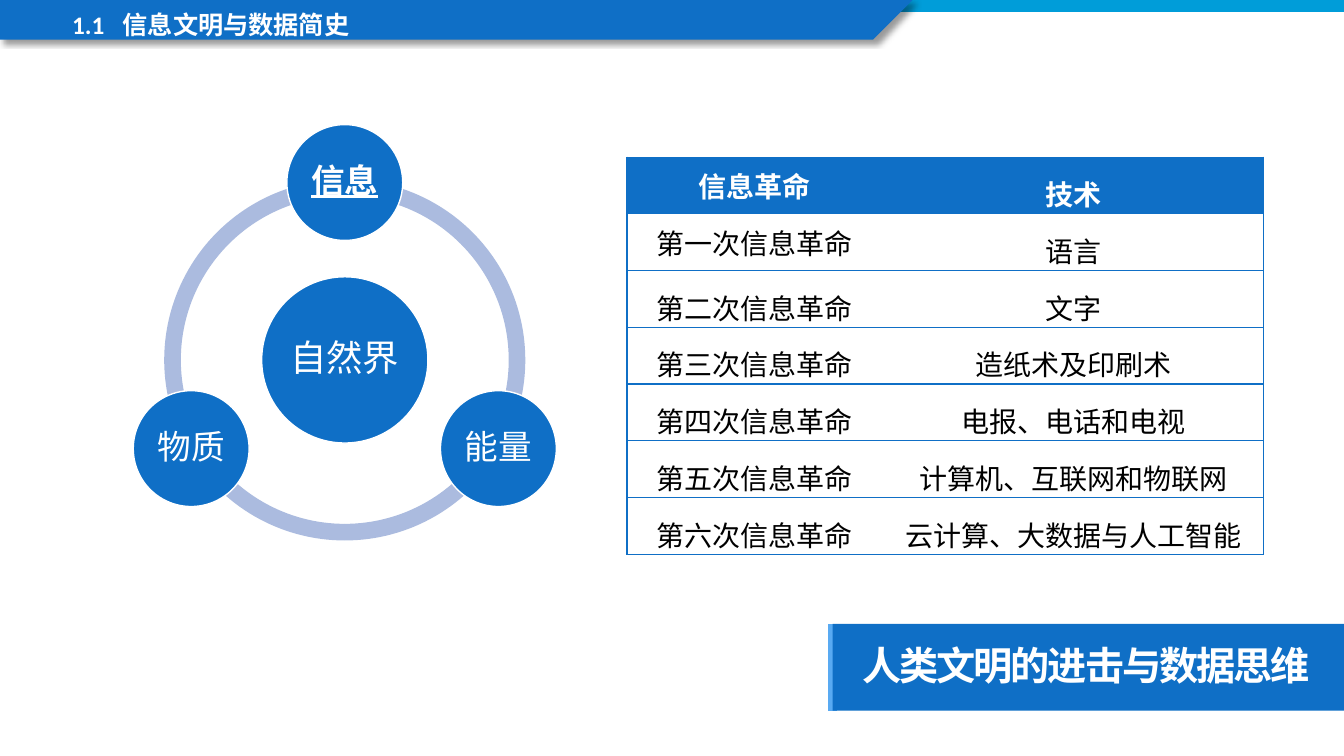
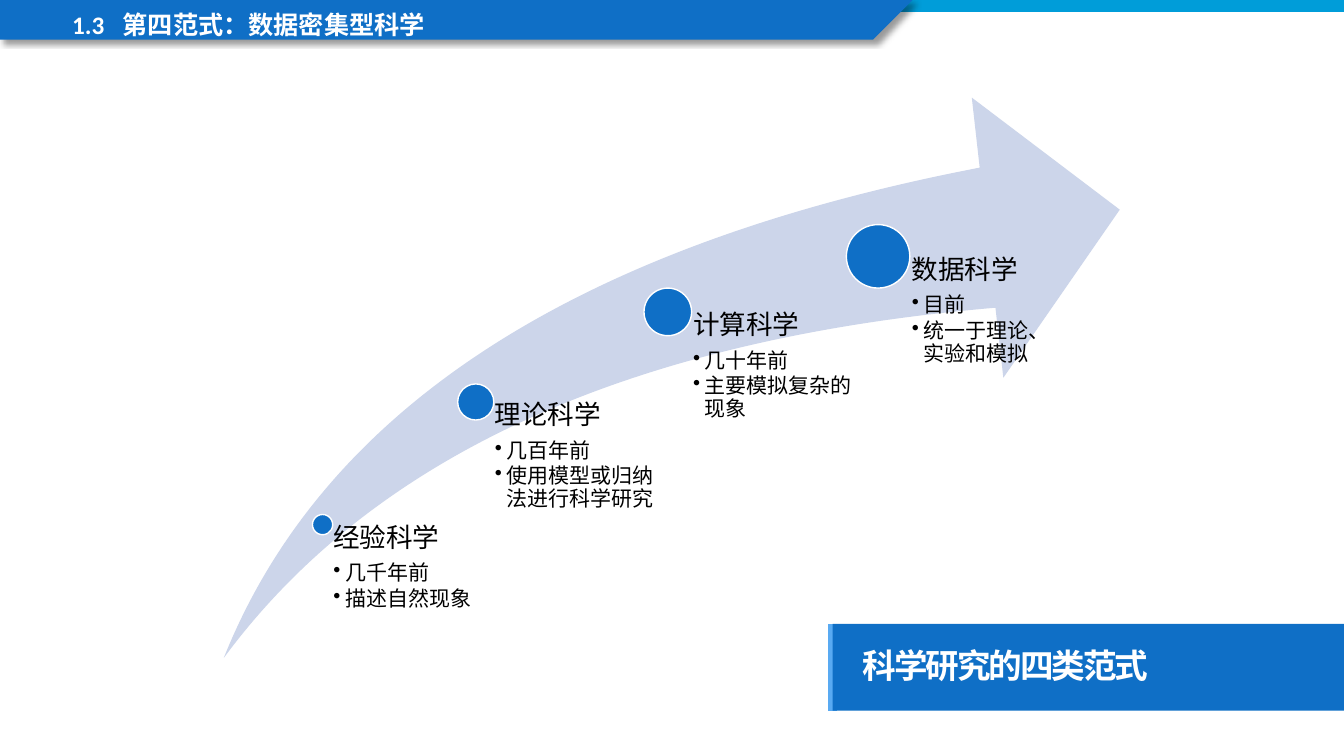
import math

from lxml import etree
from pptx import Presentation
from pptx import util as u
from pptx.dml.color import RGBColor
from pptx.enum import lang, shapes, text
from pptx.oxml import ns

BLUE = RGBColor(0x0F, 0x6F, 0xC6)
CYAN = RGBColor(0x00, 0x9D, 0xD9)
SKY = RGBColor(0x59, 0xAA, 0xF2)
RING = RGBColor(0xAB, 0xBB, 0xDF)
PALE = RGBColor(0xCC, 0xD5, 0xEA)
WHITE = RGBColor(0xFF, 0xFF, 0xFF)
BLACK = RGBColor(0x00, 0x00, 0x00)

LATIN_FONT = "Calibri"
CHINESE_FONT = "Noto Sans CJK SC"
SLIDE_WIDTH = 33.87
CALLOUT_LEFT, CALLOUT_TOP, CALLOUT_HEIGHT = 20.98, 15.72, 2.19

LEFT_LINE = {"alignment": text.PP_ALIGN.LEFT, "line_spacing": 0.9, "space_before": u.Pt(0)}
CENTER_LINE = {"alignment": text.PP_ALIGN.CENTER, "line_spacing": 0.9}
STAGE_HEADING = {"line_spacing": 0.9, "space_after": u.Pt(6.65)}
STAGE_POINT = {"level": 1, "line_spacing": 0.9, "space_after": u.Pt(2.25)}

REVOLUTIONS = [
    ("信息革命", "技术"),
    ("第一次信息革命", "语言"),
    ("第二次信息革命", "文字"),
    ("第三次信息革命", "造纸术及印刷术"),
    ("第四次信息革命", "电报、电话和电视"),
    ("第五次信息革命", "计算机、互联网和物联网"),
    ("第六次信息革命", "云计算、大数据与人工智能"),
]
STAGES = [
    (8.13, 13.22, 0.51, 3.86, "经验科学", ("几千年前", "描述自然现象")),
    (11.99, 10.13, 0.91, 4.75, "理论科学", ("几百年前", "使用模型或归纳法进行科学研究")),
    (16.83, 7.86, 1.2, 4.75, "计算科学", ("几十年前", "主要模拟复杂的现象")),
    (22.13, 6.46, 1.6, 4.75, "数据科学", ("目前", "统一于理论、实验和模拟")),
]


def apply_format(target, values):
    for name, value in values.items():
        setattr(target, name, value)


def add_element(parent, tag, **attributes):
    return etree.SubElement(parent, ns.qn(tag), attributes)


def box(left, top, width, height):
    return [u.Cm(length) for length in (left, top, width, height)]


def place(shape, left, top, width, height):
    names = ("left", "top", "width", "height")
    apply_format(shape, dict(zip(names, box(left, top, width, height))))


def frame_format(left, top, right, bottom, anchor):
    return {
        "margin_left": u.Cm(left), "margin_top": u.Cm(top),
        "margin_right": u.Cm(right), "margin_bottom": u.Cm(bottom),
        "vertical_anchor": anchor, "word_wrap": True,
    }


def write(paragraph, content, size, color, layout, latin=LATIN_FONT,
          chinese=LATIN_FONT, spacing=0, **emphasis):
    apply_format(paragraph, layout)
    run = paragraph.add_run()
    run.text = content
    apply_format(run.font, {
        "name": latin, "size": u.Pt(size),
        "language_id": lang.MSO_LANGUAGE_ID.SIMPLIFIED_CHINESE, **emphasis,
    })
    run.font.color.rgb = color
    properties = run._r.get_or_add_rPr()
    add_element(properties, "a:ea", typeface=chinese)
    if spacing:
        properties.set("spc", str(round(spacing * 100)))


def set_indent(paragraph, indent, bullet=None, tab=None):
    properties = paragraph._p.get_or_add_pPr()
    properties.set("marL", str(u.Cm(indent)))
    properties.set("indent", str(-u.Cm(indent)))
    if bullet:
        add_element(properties, "a:buChar", char=bullet)
    else:
        add_element(properties, "a:buNone")
    if tab:
        tabs = add_element(properties, "a:tabLst")
        add_element(tabs, "a:tab", pos=str(u.Cm(tab)), algn="l")


def paint(shape, fill, outline=None):
    shape.shadow.inherit = False
    shape.fill.solid()
    shape.fill.fore_color.rgb = fill
    if outline:
        shape.line.color.rgb = outline
        shape.line.width = u.Pt(1)
    else:
        shape.line.fill.background()


def add_preset(slide, kind, position, fill, outline=None, adjustments=()):
    shape = slide.shapes.add_shape(kind, *box(*position))
    for index, value in enumerate(adjustments):
        shape.adjustments[index] = value
    paint(shape, fill, outline)
    return shape


def add_circle(slide, center_x, center_y, diameter):
    radius = diameter / 2
    position = (center_x - radius, center_y - radius, diameter, diameter)
    return add_preset(slide, shapes.MSO_SHAPE.OVAL, position, BLUE, WHITE)


def add_header_band(slide):
    builder = slide.shapes.build_freeform(0, 0, scale=u.Cm(1))
    builder.add_line_segments([(23.14, 0), (22.17, 1.27), (0, 1.27)])
    band = builder.convert_to_shape()
    paint(band, BLUE)
    effects = band.element.spPr.find(ns.qn("a:effectLst"))
    shadow = add_element(effects, "a:outerShdw", blurRad=str(u.Pt(4)), dist=str(u.Pt(3)),
                         dir="2700000", algn="tl", rotWithShape="0")
    color = add_element(shadow, "a:srgbClr", val=str(BLACK))
    add_element(color, "a:alpha", val="40000")
    return band


def add_callout_edge(slide):
    left, top = u.Cm(CALLOUT_LEFT), u.Cm(CALLOUT_TOP)
    edge = slide.shapes.add_connector(
        shapes.MSO_CONNECTOR.STRAIGHT, left, top, left, top + u.Cm(CALLOUT_HEIGHT))
    edge.line.color.rgb = SKY
    edge.line.width = u.Pt(6)
    add_element(edge.element.spPr, "a:effectLst")
    return edge


def move_bands_to_layout(slide):
    top_strip = add_preset(slide, shapes.MSO_SHAPE.RECTANGLE, (0, 0, SLIDE_WIDTH, 0.3), CYAN)
    bands = (add_callout_edge(slide), top_strip, add_header_band(slide))
    for number, band in enumerate(bands, start=101):
        band.element.xpath(".//p:cNvPr")[0].set("id", str(number))
        slide.slide_layout.shapes.element.append(band.element)


def add_slide(presentation, number, heading, message, message_size):
    slide = presentation.slides.add_slide(presentation.slide_layouts[1])
    title, callout = slide.shapes.title, slide.placeholders[1]

    place(title, 1.57, 0.18, 17.68, 0.97)
    apply_format(title.text_frame, frame_format(0.25, 0.13, 0.25, 0.13, text.MSO_ANCHOR.TOP))
    paragraph = title.text_frame.paragraphs[0]
    set_indent(paragraph, 0, tab=1.27)
    write(paragraph, f"{number}\t{heading}", 18, WHITE, LEFT_LINE, bold=True)

    place(callout, CALLOUT_LEFT, CALLOUT_TOP, SLIDE_WIDTH - CALLOUT_LEFT, CALLOUT_HEIGHT)
    paint(callout, BLUE)
    apply_format(callout.text_frame,
                 frame_format(0.76, 0.51, 0.51, 0.51, text.MSO_ANCHOR.MIDDLE))
    paragraph = callout.text_frame.paragraphs[0]
    set_indent(paragraph, 0)
    write(paragraph, message, message_size, WHITE, LEFT_LINE, latin=CHINESE_FONT,
          chinese=CHINESE_FONT, spacing=-1.5, bold=True)

    for shape in (title, callout):
        shape.text_frame.auto_size = text.MSO_AUTO_SIZE.NONE
    return slide


def add_node(slide, center_x, center_y, diameter, label, size, **emphasis):
    node = add_circle(slide, center_x, center_y, diameter)
    apply_format(node.text_frame, frame_format(0.08, 0.08, 0.08, 0.08, text.MSO_ANCHOR.MIDDLE))
    write(node.text_frame.paragraphs[0], label, size, WHITE, CENTER_LINE, **emphasis)


def add_nature_cycle(slide):
    center_x, center_y, ring_size, orbit = 8.69, 9.07, 9.1, 4.47
    ring = (center_x - ring_size / 2, center_y - ring_size / 2, ring_size, ring_size)
    for start, end in ((90, 162), (18, 90), (162, 18)):
        add_preset(slide, shapes.MSO_SHAPE.BLOCK_ARC, ring, RING,
                   adjustments=(start * 0.6, end * 0.6, 0.046))
    add_node(slide, center_x, center_y, 4.19, "自然界", 26)
    nodes = (("信息", {"bold": True, "underline": True}), ("能量", {}), ("物质", {}))
    for index, (label, emphasis) in enumerate(nodes):
        angle = math.radians(120 * index - 90)
        add_node(slide, center_x + orbit * math.cos(angle), center_y + orbit * math.sin(angle),
                 2.92, label, 24, **emphasis)


def set_borders(cell, hidden_side):
    properties = cell._tc.get_or_add_tcPr()
    for index, side in enumerate(("a:lnL", "a:lnR", "a:lnT", "a:lnB")):
        line = etree.Element(ns.qn(side), w=str(u.Pt(1)))
        if side == hidden_side:
            add_element(line, "a:noFill")
        else:
            add_element(add_element(line, "a:solidFill"), "a:srgbClr", val=str(BLUE))
        properties.insert(index, line)


def add_revolution_table(slide):
    widths, row_height = (6.45, 9.6), 1.34
    count = len(REVOLUTIONS)
    table = slide.shapes.add_table(
        count, len(widths), *box(15.8, 3.96, sum(widths), row_height * count)).table
    apply_format(table, {"first_row": False, "horz_banding": False})
    for column, width in zip(table.columns, widths):
        column.width = u.Cm(width)
    cell_format = frame_format(0.18, 0.2, 0.18, 0, text.MSO_ANCHOR.TOP)
    del cell_format["word_wrap"]
    for row, labels in enumerate(REVOLUTIONS):
        header = row == 0
        for column, label in enumerate(labels):
            cell = table.cell(row, column)
            apply_format(cell, cell_format)
            cell.fill.solid()
            cell.fill.fore_color.rgb = BLUE if header else WHITE
            set_borders(cell, "a:lnL" if column else "a:lnR")
            spacing = 1.0 if column == 0 and row < 2 else 1.2
            write(cell.text_frame.paragraphs[0], label, 20, WHITE if header else BLACK,
                  {**CENTER_LINE, "line_spacing": spacing}, chinese=CHINESE_FONT, bold=header)


def add_stage(slide, bottom, center_x, center_y, diameter, width, heading, points):
    add_circle(slide, center_x, center_y, diameter)
    textbox = slide.shapes.add_textbox(*box(center_x, center_y, width, bottom - center_y))
    frame = textbox.text_frame
    apply_format(frame, frame_format(diameter * 0.53, 0, 0, 0, text.MSO_ANCHOR.TOP))
    write(frame.paragraphs[0], heading, 19, BLACK, STAGE_HEADING)
    for point in points:
        paragraph = frame.add_paragraph()
        set_indent(paragraph, 0.3, bullet="•")
        write(paragraph, point, 15, BLACK, STAGE_POINT)


def add_paradigm_arrow(slide):
    left, top, width, height = 5.64, 2.46, 22.58, 14.12
    add_preset(slide, shapes.MSO_SHAPE.SWOOSH_ARROW, (left, top, width, height), PALE,
               adjustments=(0.25, 0.25))
    for stage in STAGES:
        add_stage(slide, top + height, *stage)


def main():
    presentation = Presentation()
    apply_format(presentation, {"slide_width": u.Cm(SLIDE_WIDTH), "slide_height": u.Cm(19.05)})

    slide = add_slide(presentation, "1.1", "信息文明与数据简史", "人类文明的进击与数据思维", 28)
    move_bands_to_layout(slide)
    add_nature_cycle(slide)
    add_revolution_table(slide)

    slide = add_slide(presentation, "1.3", "第四范式：数据密集型科学", "科学研究的四类范式", 24)
    add_paradigm_arrow(slide)

    presentation.save("out.pptx")


if __name__ == "__main__":
    main()
